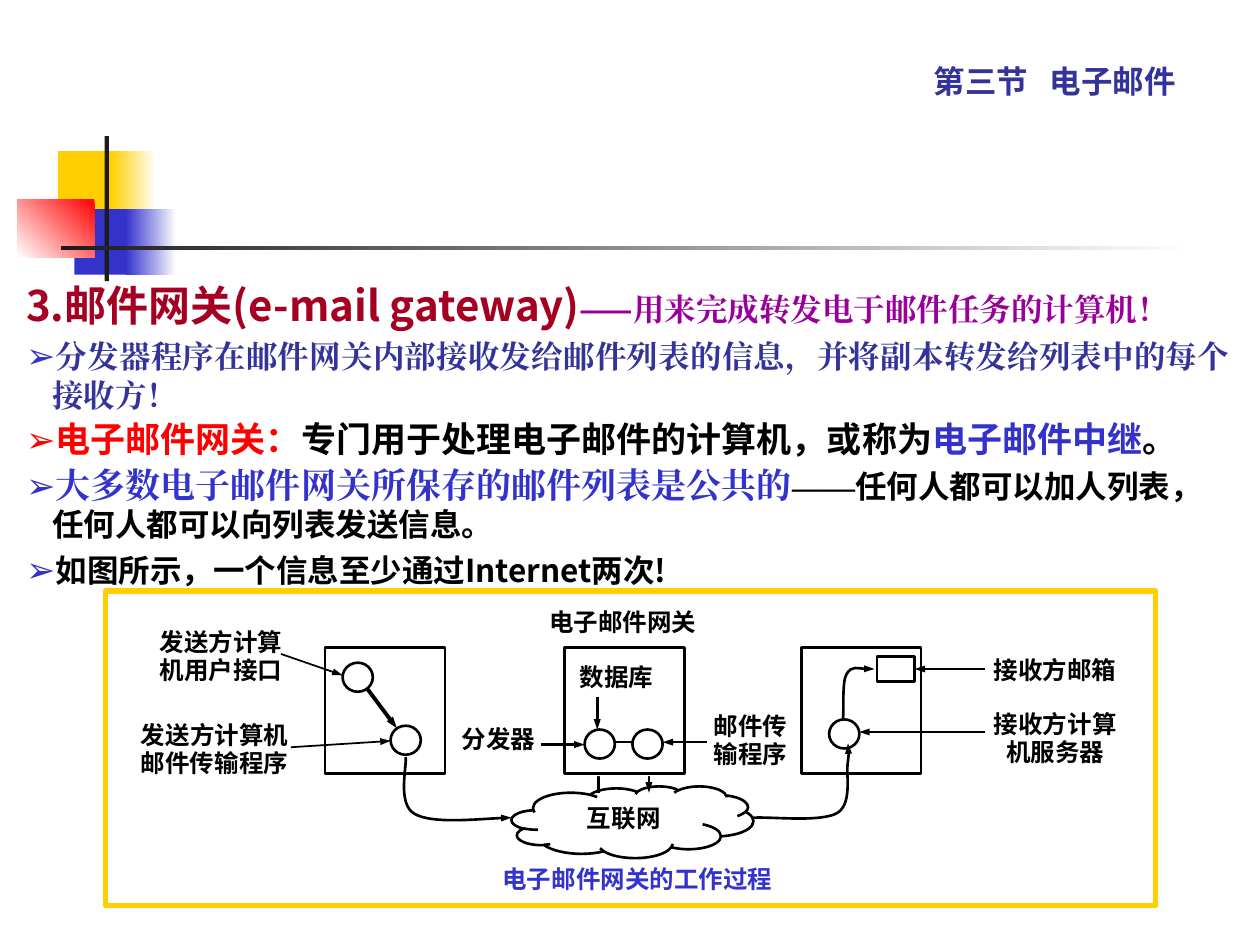
from pptx import Presentation
from pptx.dml.color import RGBColor
from pptx.enum.shapes import MSO_CONNECTOR, MSO_SHAPE
from pptx.enum.text import MSO_ANCHOR, MSO_AUTO_SIZE, PP_ALIGN
from pptx.oxml.ns import qn
from pptx.util import Pt
from lxml.etree import SubElement

SANS = "Noto Sans CJK SC"
SERIF = "Times New Roman"
ARIAL = "Arial"
BLACK, WHITE, BLUE, NAVY = "000000", "FFFFFF", "3333CC", "333399"
YELLOW, RED, CHARCOAL = "FFCF01", "FF0000", "1C1C1C"

DECORATIONS = [
    ((33.1, 86.4, 34.6, 37.4), YELLOW, None, 0),
    ((63.4, 86.4, 25.9, 37.4), WHITE, YELLOW, 180),
    ((42.5, 119.5, 33.1, 37.4), BLUE, None, 0),
    ((72, 119.5, 28.8, 37.4), WHITE, BLUE, 180),
    ((10.1, 113.8, 43.9, 33.1), RED, WHITE, 225),
    ((59.8, 77.8, 2.4, 82.8), CHARCOAL, None, 0),
    ((34.6, 140.4, 648, 2.4), WHITE, CHARCOAL, 180),
]

BULLET = "➢"
BODY = [
    (PP_ALIGN.JUSTIFY, [
        ("3.邮件网关(e-mail gateway)", 24, SANS, "A50021"),
        ("——", 18, SANS, "990099"),
        ("用来完成转发电于邮件任务的计算机！", 18, SERIF, "990099")]),
    (PP_ALIGN.JUSTIFY, [
        (BULLET, 20, ARIAL, BLUE),
        ("分发器程序在邮件网关内部接收发给邮件列表的信息，并将副本转发给列表中的每个接收方！",
         18, SERIF, NAVY)]),
    (PP_ALIGN.LEFT, [
        (BULLET, 20, ARIAL, RED),
        ("电子邮件网关：", 20, SANS, RED),
        ("专门用于处理电子邮件的计算机，或称为", 20, SANS, BLACK),
        ("电子邮件中继", 20, SANS, BLUE),
        ("。", 20, SANS, BLACK)]),
    (PP_ALIGN.LEFT, [
        (BULLET, 20, ARIAL, BLUE),
        ("大多数电子邮件网关所保存的邮件列表是公共的", 20, SERIF, BLUE),
        ("——", 18, SERIF, BLACK),
        ("任何人都可以加人列表，任何人都可以向列表发送信息。", 18, SANS, BLACK)]),
    (PP_ALIGN.LEFT, [
        (BULLET, 20, ARIAL, BLUE),
        ("如图所示，一个信息至少通过Internet两次!", 18, SANS, BLACK)]),
]

COMPUTERS = [(185.8, 370.1), (322.6, 370.1), (457.9, 370.1)]
PROGRAMS = [(195.8, 378.7), (223.2, 414.7), (334.1, 416.9), (361.4, 416.9), (473.8, 411.1)]
LABELS = [
    ("发送方计算机用户接口", (88.6, 359.3, 75.6, 39.6)),
    ("发送方计算机邮件传输程序", (77, 412.6, 91.4, 39.6)),
    ("数据库", (329, 379.4, 46.8, 20.2)),
    ("分发器", (263.5, 414.7, 42.5, 20.2)),
    ("邮件传\n输程序", (407.5, 407.5, 42.5, 34.6)),
    ("接收方邮箱", (565.2, 375.1, 75.6, 18)),
    ("接收方计算机服务器", (565.2, 406.1, 75.6, 39.6)),
]
INTERNET_LINKS = [
    ((342, 452.9), (342, 432.7), 1.5),
    ((370.8, 432.7), (370.8, 452.9), 1.5),
]
ARROWS = [
    ((160.6, 373.7), (195.8, 385.9), 1),
    ((166.3, 427), (223.2, 423.4), 1),
    ((209.5, 393.1), (226.8, 416.2), 2.25),
    ((341.3, 398.2), (341.3, 416.9), 1.5),
    ((308.9, 425.5), (334.1, 425.5), 1.5),
    ((403.9, 424.1), (378.7, 424.1), 1.5),
    ((563, 382.3), (522.7, 382.3), 1),
    ((563, 418.3), (491, 418.3), 1),
]
CURVES = [
    ([(231.8, 432.7), (232.6, 437.8), (226.8, 459.4), (236.9, 465.1),
      (247, 470.9), (280.8, 467.3), (292.3, 467.3)], "tailEnd"),
    ([(484.6, 424.8), (484.6, 426.2), (485.3, 427.7), (484.6, 434.9),
      (483.1, 441.4), (487.4, 458.6), (478.8, 464.4),
      (469.4, 470.2), (440.6, 466.6), (430.6, 467.3)], "headEnd"),
    ([(481.7, 411.1), (482.4, 406.8), (481, 389.5), (483.8, 385.2),
      (486.7, 380.2), (496.1, 383), (499.7, 382.3)], "tailEnd"),
]


def color(value):
    """Turn a hex string into a colour."""
    return RGBColor.from_string(value)


def add_run(paragraph, text, size, font_name, hex_color):
    """Add a bold run with the same font for Latin and East Asian text."""
    run = paragraph.add_run()
    run.text = text
    run.font.size, run.font.bold, run.font.name = Pt(size), True, font_name
    run.font.color.rgb = color(hex_color)
    SubElement(run.font._element, qn("a:ea")).set("typeface", font_name)


def format_frame(frame, margins=(7.2, 3.6), anchor=MSO_ANCHOR.TOP, wrap=True):
    """Set margins, anchor and wrapping of a text frame."""
    frame.auto_size = MSO_AUTO_SIZE.NONE
    frame.word_wrap, frame.vertical_anchor = wrap, anchor
    frame.margin_left = frame.margin_right = Pt(margins[0])
    frame.margin_top = frame.margin_bottom = Pt(margins[1])


def add_shape(slide, kind, box, fill=None, line=None, width=1.5):
    """Add a preset shape with optional fill and outline."""
    shape = slide.shapes.add_shape(kind, *map(Pt, box))
    shape.shadow.inherit = False
    if fill:
        shape.fill.solid()
        shape.fill.fore_color.rgb = color(fill)
    else:
        shape.fill.background()
    if line:
        shape.line.color.rgb = color(line)
        shape.line.width = Pt(width)
    else:
        shape.line.fill.background()
    return shape


def add_decoration(slide, box, start, end, angle):
    """Add a plain or two-colour gradient rectangle."""
    shape = add_shape(slide, MSO_SHAPE.RECTANGLE, box, fill=start)
    if end:
        shape.fill.gradient()
        shape.fill.gradient_angle = angle
        for stop, value in zip(shape.fill.gradient_stops, (start, end)):
            stop.color.rgb = color(value)


def add_text(slide, text, box, hex_color=BLACK, margins=(0, 0), spacing=0.96,
             alignment=PP_ALIGN.CENTER, wrap=True):
    """Add a diagram label, one paragraph per line."""
    frame = slide.shapes.add_textbox(*map(Pt, box)).text_frame
    format_frame(frame, margins, wrap=wrap)
    for index, line in enumerate(text.split("\n")):
        paragraph = frame.add_paragraph() if index else frame.paragraphs[0]
        paragraph.alignment, paragraph.line_spacing = alignment, spacing
        add_run(paragraph, line, 14, SANS, hex_color)


def add_arrowhead(shape, end="tailEnd"):
    """Put a slim triangle on one end of a line."""
    SubElement(shape.line._get_or_add_ln(), qn("a:" + end), type="triangle", w="sm", len="med")


def add_line(slide, start, end, width, arrow=True):
    """Add a straight black line or arrow."""
    connector = slide.shapes.add_connector(MSO_CONNECTOR.STRAIGHT, *map(Pt, start + end))
    connector.line.color.rgb, connector.line.width = color(BLACK), Pt(width)
    SubElement(connector._element.spPr, qn("a:effectLst"))
    if arrow:
        add_arrowhead(connector)


def add_curve(slide, points, arrow_end):
    """Add an open curve through cubic Bézier points."""
    builder = slide.shapes.build_freeform(*map(Pt, points[0]))
    builder.add_line_segments([tuple(map(Pt, point)) for point in points[1:]], close=False)
    shape = builder.convert_to_shape()
    shape.shadow.inherit = False
    shape.fill.background()
    shape.line.color.rgb, shape.line.width = color(BLACK), Pt(1.5)
    outline = next(shape._element.iter(qn("a:path")))
    segments = outline.findall(qn("a:lnTo"))
    for index in range(0, len(segments), 3):
        curve = SubElement(outline, qn("a:cubicBezTo"))
        for segment in segments[index:index + 3]:
            curve.append(segment[0])
            outline.remove(segment)
    add_arrowhead(shape, arrow_end)


def add_title(slide):
    """Place and format the section title."""
    title = slide.shapes.title
    title.left, title.top, title.width, title.height = map(Pt, (491.8, 30.2, 221.8, 30.2))
    format_frame(title.text_frame, anchor=MSO_ANCHOR.BOTTOM)
    paragraph = title.text_frame.paragraphs[0]
    paragraph.alignment = PP_ALIGN.CENTER
    add_run(paragraph, "第三节   电子邮件", 18, SANS, NAVY)


def add_body(slide):
    """Add the explanatory paragraphs with hanging indents."""
    frame = slide.shapes.add_textbox(*map(Pt, (7.9, 156.2, 702, 181.4))).text_frame
    format_frame(frame)
    for index, (alignment, runs) in enumerate(BODY):
        paragraph = frame.add_paragraph() if index else frame.paragraphs[0]
        paragraph.alignment, paragraph.space_before = alignment, Pt(2.2)
        properties = paragraph._p.get_or_add_pPr()
        properties.set("marL", str(Pt(15)))
        properties.set("indent", str(-Pt(15)))
        for run in runs:
            add_run(paragraph, *run)


def add_diagram(slide):
    """Add the mail gateway diagram."""
    cloud = add_shape(slide, MSO_SHAPE.CLOUD_CALLOUT, (292.3, 449.3, 138.2, 41), line=BLACK)
    cloud.adjustments[0], cloud.adjustments[1] = 0, -1.59
    format_frame(cloud.text_frame, (8.6, 3.6))
    cloud.text_frame.paragraphs[0].alignment = PP_ALIGN.CENTER
    add_run(cloud.text_frame.paragraphs[0], "互联网", 14, SANS, BLACK)
    for link in INTERNET_LINKS:
        add_line(slide, *link)
    add_shape(slide, MSO_SHAPE.RECTANGLE, (337, 400.3, 46.8, 43.2), fill=WHITE)
    for left, top in COMPUTERS:
        add_shape(slide, MSO_SHAPE.RECTANGLE, (left, top, 68.4, 72), line=BLACK)
    for left, top in PROGRAMS:
        add_shape(slide, MSO_SHAPE.OVAL, (left, top, 17.3, 16.6), line=BLACK)
    add_shape(slide, MSO_SHAPE.RECTANGLE, (501.1, 375.1, 21.6, 14.4), line=BLACK)
    add_line(slide, (351.4, 424.1), (361.4, 424.1), 1.5, arrow=False)
    for arrow in ARROWS:
        add_line(slide, *arrow)
    for curve in CURVES:
        add_curve(slide, *curve)
    for label in LABELS:
        add_text(slide, *label)
    add_text(slide, "电子邮件网关", (306.7, 343.4, 98.6, 24.5), margins=(7.2, 3.6),
             spacing=1, alignment=PP_ALIGN.LEFT, wrap=False)
    add_text(slide, "电子邮件网关的工作过程", (261.4, 490.3, 205.9, 20.2), BLUE, (8.6, 3.6), 1)
    add_shape(slide, MSO_SHAPE.RECTANGLE, (60.5, 337.7, 599.8, 180), line=YELLOW, width=3)


def main():
    """Build and save the slide."""
    presentation = Presentation()
    presentation.slide_width, presentation.slide_height = Pt(720), Pt(540)
    slide = presentation.slides.add_slide(presentation.slide_layouts[5])
    for decoration in DECORATIONS:
        add_decoration(slide, *decoration)
    add_title(slide)
    add_body(slide)
    add_diagram(slide)
    presentation.save("out.pptx")


if __name__ == "__main__":
    main()
